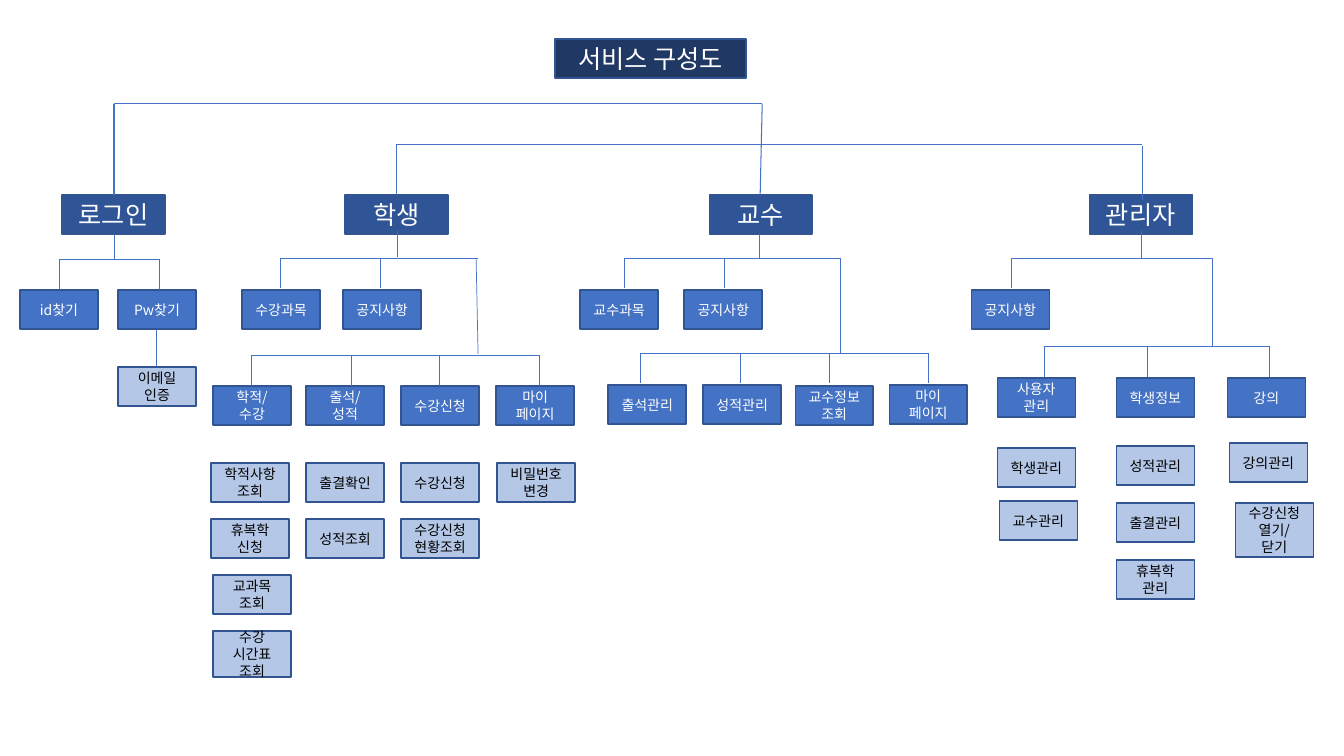
from dataclasses import dataclass
from pptx import Presentation
from pptx import util as u
from pptx.dml.color import RGBColor
from pptx.enum import shapes, text
from pptx.oxml.ns import qn
from lxml import etree

# Content: (wording, left, top), all lengths in px
TITLE = ("서비스 구성도", 555, 39)
ROLES = [("로그인", 62), ("학생", 345), ("교수", 709), ("관리자", 1089)]
ROLE_TOP = 195

MENUS = [
    (290, [("id찾기", 20), ("Pw찾기", 118),
           ("수강과목", 242), ("공지사항", 343),
           ("교수과목", 580), ("공지사항", 684), ("공지사항", 971)]),
    (386, [("학적/\n수강", 213), ("출석/\n성적", 306),
           ("수강신청", 401), ("마이\n페이지", 496),
           ("교수정보\n조회", 795)]),
    (385, [("출석관리", 608), ("성적관리", 703), ("마이\n페이지", 889)]),
    (378, [("사용자\n관리", 997), ("학생정보", 1116), ("강의", 1227)]),
]

# Columns of features: top, step, [(wording, left, height)]
FEATURES = [
    (367, 0, [("이메일\n인증", 118, 39)]),
    (463, 56, [("학적사항\n조회", 211, 39), ("휴복학 신청", 211, 39),
               ("교과목 조회", 213, 39), ("수강\n시간표 조회", 213, 46)]),
    (463, 56, [("출결확인", 306, 39), ("성적조회", 306, 39)]),
    (463, 56, [("수강신청", 401, 39), ("수강신청 현황조회", 401, 39)]),
    (463, 56, [("비밀번호\n변경", 497, 39)]),
    (448, 53, [("학생관리", 997, 39), ("교수관리", 999, 39)]),
    (446, 57, [("성적관리", 1116, 39), ("출결관리", 1116, 39),
               ("휴복학\n관리", 1116, 39)]),
    (443, 60, [("강의관리", 1229, 39), ("수강신청\n열기/\n닫기", 1235, 54)]),
]

# Branches: bar top, bar left, bar right, drop positions, drop bottom
ROLE_BRANCHES = [
    (104, 114, 762, [114], 195),
    (145, 396, 1142, [396], 195),
]
MENU_BRANCHES = [
    (259, 59, 159, [59, 159], 290),
    (258, 280, 478, [280, 380], 288),
    (258, 624, 840, [624, 724], 288),
    (258, 1011, 1212, [1011], 288),
    (355, 251, 539, [251, 351, 439, 539], 386),
    (353, 640, 928, [640, 740, 829, 928], 383),
    (346, 1044, 1269, [1044, 1147, 1269], 377),
]
# Single links: start x, start y, end x, end y
ROLE_LINKS = [(760, 195, 762, 104), (1142, 146, 1142, 200)]
MENU_LINKS = [
    (114, 234, 114, 259), (397, 231, 397, 257),
    (759, 234, 759, 258), (1141, 231, 1141, 258),
    (156, 329, 156, 367), (476, 258, 478, 354),
    (840, 258, 840, 353), (1212, 258, 1212, 346),
]


@dataclass(frozen=True)
class Level:
    fill: str
    ink: str
    size: int
    width: int
    height: int = 39


@dataclass(frozen=True)
class Theme:
    font: str = "Noto Sans CJK KR"
    border: str = "325491"
    link: str = "4472C4"
    title: Level = Level("203864", "FFFFFF", 18, 191)
    role: Level = Level("2F5597", "FFFFFF", 18, 103)
    menu: Level = Level("4472C4", "FFFFFF", 10, 78)
    feature: Level = Level("B4C7E7", "000000", 10, 78)


THEME = Theme()
EMU_PER_PX = 914400 / 100.8


def px(length):
    return u.Emu(round(length * EMU_PER_PX))


def color(value):
    return RGBColor.from_string(value)


prs = Presentation()
prs.slide_width, prs.slide_height = u.Inches(13.33), u.Inches(7.5)
slide = prs.slides.add_slide(prs.slide_layouts[5])


def dress(box, wording, level):
    """Fill, outline and write one box of the chart."""
    box.fill.solid()
    box.fill.fore_color.rgb = color(level.fill)
    box.line.color.rgb = color(THEME.border)
    box.line.width = u.Pt(1)
    frame = box.text_frame
    frame.text = wording
    frame.word_wrap = True
    frame.auto_size = text.MSO_AUTO_SIZE.NONE
    frame.vertical_anchor = text.MSO_ANCHOR.MIDDLE
    for paragraph in frame.paragraphs:
        paragraph.alignment = text.PP_ALIGN.CENTER
        font = paragraph.font
        font.name, font.size = THEME.font, u.Pt(level.size)
        font.color.rgb = color(level.ink)
        # Hangul takes the East Asian typeface
        properties = paragraph._p.pPr.find(qn("a:defRPr"))
        etree.SubElement(properties, qn("a:ea"), typeface=THEME.font)


def add_box(wording, left, top, level, height=None):
    box = slide.shapes.add_shape(
        shapes.MSO_SHAPE.RECTANGLE, px(left), px(top),
        px(level.width), px(height or level.height))
    box.shadow.inherit = False
    dress(box, wording, level)


def add_link(x1, y1, x2, y2, weight):
    link = slide.shapes.add_connector(
        shapes.MSO_CONNECTOR.STRAIGHT, px(x1), px(y1), px(x2), px(y2))
    link.line.color.rgb = color(THEME.link)
    link.line.width = u.Pt(weight)
    etree.SubElement(link._element.spPr, qn("a:effectLst"))


# Title
wording, left, top = TITLE
heading = slide.shapes.title
heading.left, heading.top = px(left), px(top)
heading.width, heading.height = px(THEME.title.width), px(THEME.title.height)
dress(heading, wording, THEME.title)

# Roles, menus and features
for wording, left in ROLES:
    add_box(wording, left, ROLE_TOP, THEME.role)
for top, menus in MENUS:
    for wording, left in menus:
        add_box(wording, left, top, THEME.menu)
for top, step, features in FEATURES:
    for row, (wording, left, height) in enumerate(features):
        add_box(wording, left, top + row * step, THEME.feature, height)

# Branches and links
for branches, links, weight in ((ROLE_BRANCHES, ROLE_LINKS, 0.75),
                                (MENU_BRANCHES, MENU_LINKS, 0.5)):
    for bar, left, right, drops, bottom in branches:
        add_link(left, bar, right, bar, weight)
        for x in drops:
            add_link(x, bar, x, bottom, weight)
    for ends in links:
        add_link(*ends, weight)

prs.save("out.pptx")
